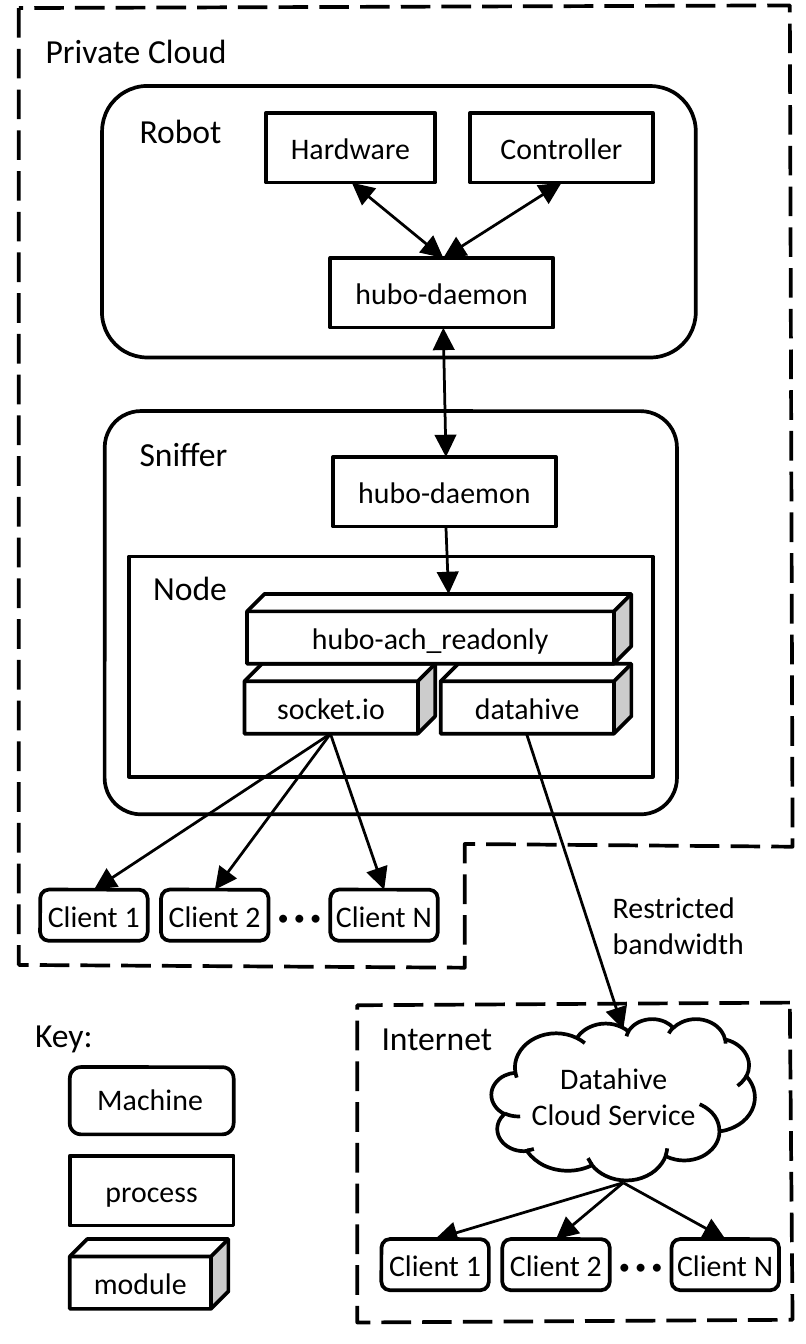
from pptx import Presentation
from pptx.dml.color import RGBColor
from pptx.enum.dml import MSO_LINE
from pptx.enum.shapes import MSO_CONNECTOR, MSO_SHAPE
from pptx.enum.text import MSO_ANCHOR, PP_ALIGN
from pptx.oxml.ns import qn
from pptx.util import Inches, Pt
from lxml import etree

COLORS = {"ink": "000000", "paper": "FFFFFF"}
FONT = "Calibri"
LABEL_SIZE, BOX_SIZE, DOTS_SIZE = 9, 8, 6
RECT, ROUND = MSO_SHAPE.RECTANGLE, MSO_SHAPE.ROUNDED_RECTANGLE
CUBE, CLOUD = MSO_SHAPE.CUBE, MSO_SHAPE.CLOUD
STRAIGHT, LONG_DASH = MSO_CONNECTOR.STRAIGHT, MSO_LINE.LONG_DASH
TOP, MIDDLE = MSO_ANCHOR.TOP, MSO_ANCHOR.MIDDLE
LEFT, CENTER = PP_ALIGN.LEFT, PP_ALIGN.CENTER
PADDED, TIGHT = (0.09, 0.04), (0, 0)


def color(name):
    return RGBColor.from_string(COLORS[name])


def ink_line(line, width):
    line.color.rgb = color("ink")
    line.width = Pt(width)


def write(shape, lines, size, align, anchor, inset, wrap=True):
    frame = shape.text_frame
    frame.word_wrap = wrap
    frame.vertical_anchor = anchor
    frame.margin_left = frame.margin_right = Inches(inset[0])
    frame.margin_top = frame.margin_bottom = Inches(inset[1])
    for index, text in enumerate(lines):
        para = frame.add_paragraph() if index else frame.paragraphs[0]
        para.alignment = align
        span = para.add_run()
        span.text = text
        span.font.name = FONT
        span.font.size = Pt(size)
        span.font.color.rgb = color("ink")


def add_box(page, kind, place, text, size=BOX_SIZE, align=CENTER,
            anchor=MIDDLE, inset=PADDED, filled=True, outlined=True):
    box = page.shapes.add_shape(kind, *map(Inches, place))
    box.shadow.inherit = False
    if filled:
        box.fill.solid()
        box.fill.fore_color.rgb = color("paper")
    else:
        box.fill.background()
    if outlined:
        ink_line(box.line, 1)
    else:
        box.line.fill.background()
    write(box, [text], size, align, anchor, inset)
    return box


def add_container(page, kind, place, text):
    return add_box(page, kind, place, text, LABEL_SIZE, LEFT, TOP, filled=False)


def add_module(page, place, text):
    add_box(page, CUBE, place, text, inset=TIGHT)


def add_label(page, place, lines, size=LABEL_SIZE, anchor=MIDDLE, wrap=True):
    label = page.shapes.add_textbox(*map(Inches, place))
    write(label, lines, size, LEFT, anchor, PADDED, wrap)


def add_boundary(page, points):
    corners = [(Inches(x), Inches(y)) for x, y in points]
    builder = page.shapes.build_freeform(*corners[0], scale=1.0)
    builder.add_line_segments(corners[1:], close=True)
    boundary = builder.convert_to_shape()
    boundary.shadow.inherit = False
    boundary.fill.background()
    ink_line(boundary.line, 1)
    boundary.line.dash_style = LONG_DASH


def add_arrow(page, start, end, both_ways=False):
    arrow = page.shapes.add_connector(STRAIGHT, *map(Inches, start + end))
    ink_line(arrow.line, 0.75)
    outline = arrow.line._get_or_add_ln()
    for tag in ("a:headEnd", "a:tailEnd") if both_ways else ("a:tailEnd",):
        etree.SubElement(outline, qn(tag), type="triangle")
    etree.SubElement(arrow._element.spPr, qn("a:effectLst"))


def add_clients(page, left, top, source):
    """One row of clients, each reached by an arrow from the source."""
    width, height = 0.4, 0.19
    clients = {"Client 1": left, "Client 2": left + 0.45, "Client N": left + 1.08}
    for x in clients.values():
        add_arrow(page, source, (x + width / 2, top))
    add_box(page, RECT, (left + 0.85, top, 0.23, 0.2), "• • •", DOTS_SIZE,
            inset=TIGHT, outlined=False)
    for name, x in clients.items():
        add_box(page, ROUND, (x, top, width, height), name, inset=TIGHT)


def add_private_cloud(page):
    add_boundary(page, [(0.07, 0.03), (0.07, 3.59), (1.73, 3.6), (1.73, 3.14),
                        (2.95, 3.15), (2.94, 0.02)])
    add_label(page, (0.08, 0.07, 1.2, 0.25), ["Private Cloud"], anchor=TOP)

    # Robot
    add_container(page, ROUND, (0.38, 0.32, 2.21, 1.01), "Robot")
    add_box(page, RECT, (0.99, 0.42, 0.63, 0.26), "Hardware")
    add_box(page, RECT, (1.75, 0.42, 0.68, 0.26), "Controller")
    add_box(page, RECT, (1.23, 0.96, 0.83, 0.26), "hubo-daemon")
    for x in (1.31, 2.09):
        add_arrow(page, (x, 0.68), (1.65, 0.96), both_ways=True)

    # Sniffer with its node modules
    sniffer = add_container(page, ROUND, (0.39, 1.53, 2.13, 1.5), "Sniffer")
    sniffer.adjustments[0] = 0.09
    add_container(page, RECT, (0.48, 2.07, 1.95, 0.82), "Node")
    add_box(page, RECT, (1.24, 1.7, 0.83, 0.26), "hubo-daemon")
    add_module(page, (0.91, 2.47, 0.71, 0.26), "socket.io")
    add_module(page, (1.64, 2.47, 0.71, 0.26), "datahive")
    add_module(page, (0.92, 2.21, 1.43, 0.26), "hubo-ach_readonly")
    add_arrow(page, (1.65, 1.22), (1.66, 1.7), both_ways=True)
    add_arrow(page, (1.66, 1.96), (1.67, 2.21))

    add_clients(page, 0.15, 3.31, (1.23, 2.73))


def add_internet(page):
    add_boundary(page, [(2.94, 3.73), (1.33, 3.74), (1.33, 4.92), (2.95, 4.91)])
    add_label(page, (1.33, 3.73, 1.12, 0.26), ["Internet"])
    add_arrow(page, (1.96, 2.73), (2.32, 3.83))
    add_label(page, (2.19, 3.31, 0.79, 0.26), ["Restricted", "bandwidth"], BOX_SIZE)
    add_box(page, CLOUD, (1.83, 3.79, 0.98, 0.6), "Datahive Cloud Service",
            inset=TIGHT)
    add_clients(page, 1.42, 4.61, (2.32, 4.4))


def add_key(page):
    add_label(page, (0.04, 3.72, 0.42, 0.25), ["Key:"], wrap=False)
    add_box(page, ROUND, (0.26, 3.97, 0.61, 0.25), "Machine", align=LEFT, anchor=TOP)
    add_box(page, RECT, (0.26, 4.3, 0.61, 0.26), "process")
    add_module(page, (0.26, 4.61, 0.59, 0.26), "module")


def main():
    deck = Presentation()
    deck.slide_width, deck.slide_height = Inches(3), Inches(5)
    page = deck.slides.add_slide(deck.slide_layouts[6])
    add_private_cloud(page)
    add_internet(page)
    add_key(page)
    deck.save("out.pptx")


if __name__ == "__main__":
    main()
